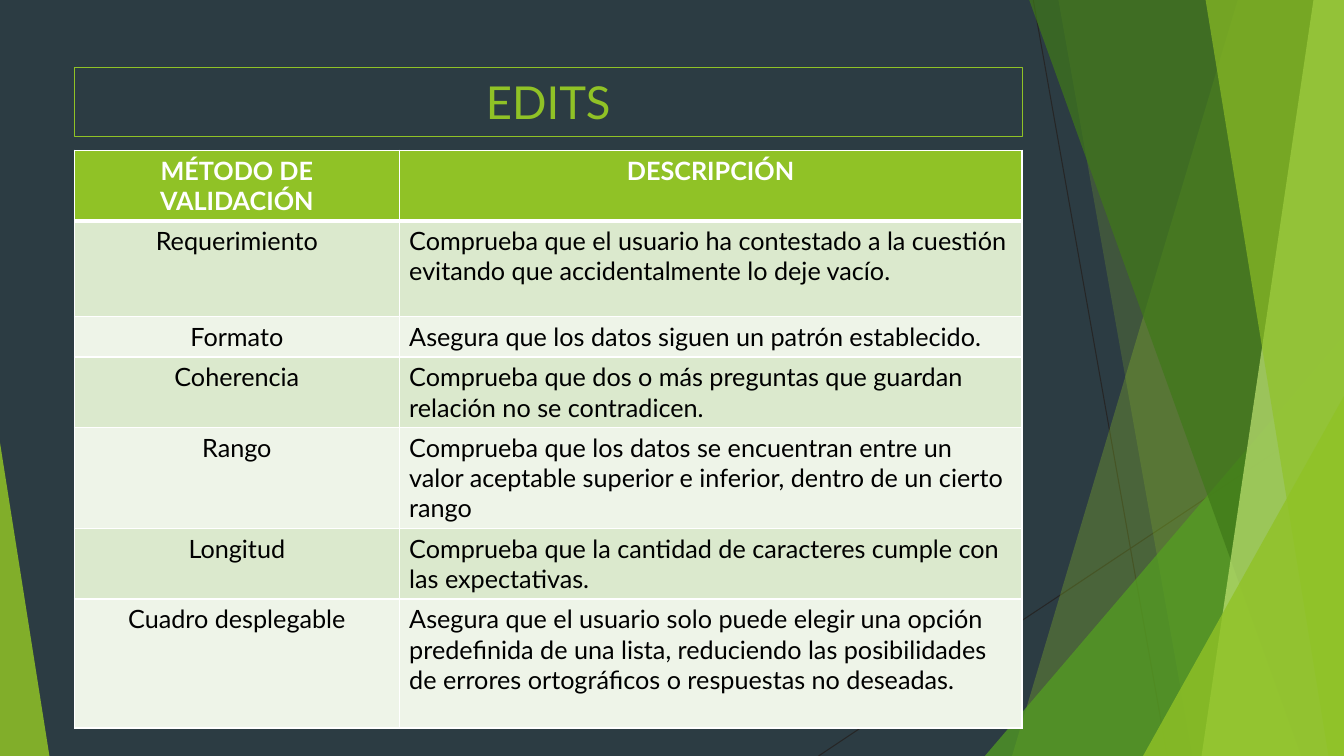
from lxml.etree import SubElement
from pptx import Presentation
from pptx.dml.color import RGBColor
from pptx.enum.shapes import MSO_CONNECTOR as Connector, MSO_SHAPE as Shape
from pptx.enum.text import MSO_ANCHOR as Anchor, MSO_AUTO_SIZE as AutoSize, PP_ALIGN as Align
from pptx.oxml.ns import qn
from pptx.util import Inches, Pt

WIDTH, HEIGHT = Inches(13.33), Inches(7.5)
FONT = "Lato"
LIME, GREEN, FOREST, PALE = "90C226", "54A021", "3F7819", "C0E474"
NIGHT, CHARCOAL, WHITE, BLACK = "2C3C43", "262626", "FFFFFF", "000000"
BANDS = ["DBE9CD", "EEF4E8"]
LEFT = 5.55
COLUMNS = [24.15, 46.35]
ROWS = [9.33, 12.67, 5.33, 9.33, 13.33, 9.33, 17.07]
METHODS = [
    ("MÉTODO DE VALIDACIÓN", "DESCRIPCIÓN"),
    ("Requerimiento", "Comprueba que el usuario ha contestado a la cuestión evitando que "
                      "accidentalmente lo deje vacío."),
    ("Formato", "Asegura que los datos siguen un patrón establecido."),
    ("Coherencia", "Comprueba que dos o más preguntas que guardan relación no se contradicen."),
    ("Rango", "Comprueba que los datos se encuentran entre un valor aceptable superior e "
              "inferior, dentro de un cierto rango"),
    ("Longitud", "Comprueba que la cantidad de caracteres cumple con las expectativas."),
    ("Cuadro desplegable", "Asegura que el usuario solo puede elegir una opción predefinida de "
                           "una lista, reduciendo las posibilidades de errores ortográficos o "
                           "respuestas no deseadas."),
]


def across(percent):
    """Return a share of the slide width."""
    return round(WIDTH * percent / 100)


def down(percent):
    """Return a share of the slide height."""
    return round(HEIGHT * percent / 100)


def color(hex_string):
    """Return the colour of a hex string."""
    return RGBColor.from_string(hex_string)


def paint(shape, fill, opacity):
    """Give a shape a translucent fill without line or shadow."""
    shape.shadow.inherit = False
    shape.line.fill.background()
    shape.fill.solid()
    shape.fill.fore_color.rgb = color(fill)
    tint = shape.fill._xPr.find(qn("a:solidFill"))[0]
    SubElement(tint, qn("a:alpha"), val=str(opacity * 1000))


def add_ray(slide, start, end):
    """Draw a thin dark line between two points."""
    ray = slide.shapes.add_connector(Connector.STRAIGHT, across(start[0]), down(start[1]),
                                     across(end[0]), down(end[1]))
    ray.line.color.rgb = color(CHARCOAL)
    ray.line.width = Pt(0.75)
    SubElement(ray._element.spPr, qn("a:effectLst"))


def add_facet(slide, top, bottom, fill, opacity):
    """Fill the area between a slanted edge and the right side of the slide."""
    builder = slide.shapes.build_freeform(across(top), 0)
    builder.add_line_segments([(WIDTH, 0), (WIDTH, HEIGHT), (across(bottom), HEIGHT)])
    paint(builder.convert_to_shape(), fill, opacity)


def add_corner(slide, left, top, width, fill, opacity, apex=1):
    """Stand a right triangle on the bottom edge of the slide."""
    corner = slide.shapes.add_shape(Shape.ISOSCELES_TRIANGLE, across(left), down(top),
                                    across(width), down(100 - top))
    corner.adjustments[0] = apex
    paint(corner, fill, opacity)


def write(frame, text, size=18, fill=BLACK, bold=False, align=Align.LEFT):
    """Write one formatted paragraph into a text frame."""
    paragraph = frame.paragraphs[0]
    paragraph.alignment = align
    run = paragraph.add_run()
    run.text = text
    run.font.name, run.font.size, run.font.bold = FONT, Pt(size), bold
    run.font.color.rgb = color(fill)


def set_borders(cell, **widths):
    """Draw white cell borders, with widths in points keyed by side."""
    properties = cell._tc.get_or_add_tcPr()
    for side in "LRTB":
        line = SubElement(properties, qn(f"a:ln{side}"), w=str(Pt(widths.get(side, 1))))
        SubElement(SubElement(line, qn("a:solidFill")), qn("a:srgbClr"), val=WHITE)


def add_background(slide):
    """Lay out the green facets over the dark background."""
    slide.background.fill.solid()
    slide.background.fill.fore_color.rgb = color(NIGHT)
    add_ray(slide, (76.88, 0), (86.85, 100))
    add_ray(slide, (100, 53.73), (60.9, 100))
    add_facet(slide, 92.1, 75.3, LIME, 30)
    add_facet(slide, 78.75, 88.73, LIME, 20)
    add_corner(slide, 73.28, 44.4, 26.72, GREEN, 72)
    add_facet(slide, 76.58, 96.83, FOREST, 70)
    add_facet(slide, 97.73, 89.4, PALE, 70)
    add_facet(slide, 89.7, 98.85, LIME, 65)
    add_corner(slide, 85.05, 52.4, 14.95, LIME, 80)
    add_corner(slide, 0, 58.53, 3.68, LIME, 85, apex=0)


def add_title(slide, text):
    """Move the title placeholder into its outlined band."""
    title = slide.shapes.title
    title.left, title.top = across(LEFT), down(8.93)
    title.width, title.height = across(sum(COLUMNS)), down(9.07)
    title.line.color.rgb = color(LIME)
    title.line.width = Pt(0.75)
    frame = title.text_frame
    frame.auto_size, frame.vertical_anchor = AutoSize.NONE, Anchor.MIDDLE
    write(frame, text, size=32.4, fill=LIME, align=Align.CENTER)


def add_methods_table(slide):
    """Build the banded table of validation methods."""
    table = slide.shapes.add_table(len(ROWS), len(COLUMNS), across(LEFT), down(19.87),
                                   across(sum(COLUMNS)), down(sum(ROWS))).table
    for column, width in zip(table.columns, COLUMNS):
        column.width = across(width)
    for row_index, (height, texts) in enumerate(zip(ROWS, METHODS)):
        table.rows[row_index].height = down(height)
        header = row_index == 0
        for column_index, text in enumerate(texts):
            cell = table.cell(row_index, column_index)
            set_borders(cell, B=3 if header else 1, T=3 if row_index == 1 else 1)
            cell.fill.solid()
            cell.fill.fore_color.rgb = color(LIME if header else BANDS[(row_index - 1) % 2])
            centered = header or column_index == 0
            write(cell.text_frame, text, fill=WHITE if header else BLACK, bold=header,
                  align=Align.CENTER if centered else Align.LEFT)


def main():
    """Build and save the slide."""
    presentation = Presentation()
    presentation.slide_width, presentation.slide_height = WIDTH, HEIGHT
    slide = presentation.slides.add_slide(presentation.slide_layouts[5])
    add_background(slide)
    add_title(slide, "EDITS")
    add_methods_table(slide)
    presentation.save("out.pptx")


main()
